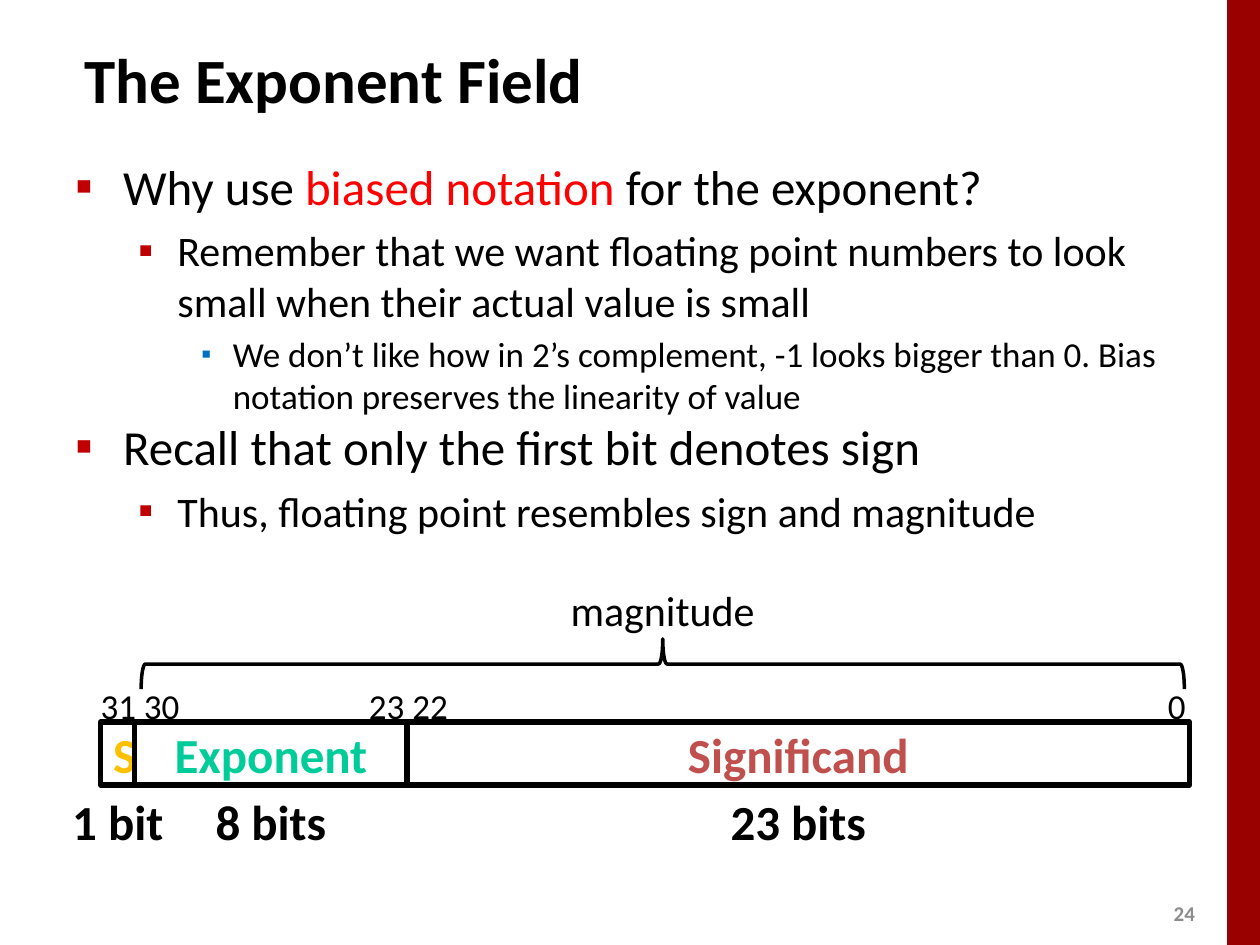
import pptx
import pptx.util
import pptx.dml.color
import pptx.enum.shapes
import pptx.enum.text
import pptx.oxml
import pptx.oxml.ns

Inches = pptx.util.Inches
Pt = pptx.util.Pt
ALIGN = pptx.enum.text.PP_ALIGN
ANCHOR = pptx.enum.text.MSO_ANCHOR
SHAPE = pptx.enum.shapes.MSO_SHAPE

THEME = {
    "font": "Calibri", "text": "000000", "accent": "FF0000", "band": "990000", "muted": "8C8C8C",
    "title": 36, "field": 28, "label": 24, "bit": 20, "number": 12,
}

TITLE = "The Exponent Field"
SLIDE_NUMBER = "24"

# Each bullet is (level, [(text, colour), ...])
BULLETS = [
    (0, [("Why use ", THEME["text"]), ("biased notation ", THEME["accent"]),
         ("for the exponent?", THEME["text"])]),
    (1, [("Remember that we want floating point numbers to look small when their "
          "actual value is small", THEME["text"])]),
    (2, [("We don’t like how in 2’s complement, -1 looks bigger than 0. Bias notation "
          "preserves the linearity of value", THEME["text"])]),
    (0, [("Recall that only the first bit denotes sign", THEME["text"])]),
    (1, [("Thus, floating point resembles sign and magnitude", THEME["text"])]),
]
LEVELS = [
    {"size": 28, "margin": 0.38, "hang": 0.38, "before": 0, "bullet": "C00000", "percent": 100},
    {"size": 24, "margin": 0.81, "hang": 0.31, "before": 5.6, "bullet": "C00000", "percent": 100},
    {"size": 20, "margin": 1.25, "hang": 0.25, "before": 4, "bullet": "0070C0", "percent": 80},
]

# Each field is (name, colour, width, bit count)
FIELDS = [
    ("S", "FFC000", 0.27, "1 bit"),
    ("Exponent", "00CC99", 2.16, "8 bits"),
    ("Significand", "C0504D", 6.21, "23 bits"),
]
FIELD_LEFT, FIELD_TOP, FIELD_HEIGHT = 0.8, 5.73, 0.5
BIT_NUMBERS = [("31 30", 0.7, 0.83), ("23 22", 2.83, 0.83), ("0", 9.17, 0.34)]
BRACE_CENTRE, BRACE_SPAN, BRACE_DEPTH = (5.26, 5.27), 8.28, 0.4


def rgb(value):
    return pptx.dml.color.RGBColor.from_string(value)


def format_font(font, size, colour=THEME["text"], bold=False):
    for name, value in {"name": THEME["font"], "size": Pt(size), "bold": bold}.items():
        setattr(font, name, value)
    font.color.rgb = rgb(colour)


def format_frame(frame, wrap=True, anchor=ANCHOR.TOP, inset_x=0.1, inset_y=0.05):
    values = {
        "word_wrap": wrap, "vertical_anchor": anchor,
        "auto_size": pptx.enum.text.MSO_AUTO_SIZE.NONE,
        "margin_left": Inches(inset_x), "margin_right": Inches(inset_x),
        "margin_top": Inches(inset_y), "margin_bottom": Inches(inset_y),
    }
    for name, value in values.items():
        setattr(frame, name, value)


def write(shape, text, size, colour=THEME["text"], bold=False, align=ALIGN.LEFT, **frame_values):
    format_frame(shape.text_frame, **frame_values)
    paragraph = shape.text_frame.paragraphs[0]
    paragraph.alignment = align
    run = paragraph.add_run()
    run.text = text
    format_font(run.font, size, colour, bold)


def add_text(slide, box, *args, **values):
    write(slide.shapes.add_textbox(*map(Inches, box)), *args, **values)


def add_outline(slide, kind, box, line_width):
    shape = slide.shapes.add_shape(kind, *map(Inches, box))
    shape.shadow.inherit = False
    shape.fill.background()
    shape.line.color.rgb = rgb(THEME["text"])
    shape.line.width = Pt(line_width)
    return shape


def add_bullet(paragraph, level):
    properties = paragraph._p.get_or_add_pPr()
    properties.set("marL", str(Inches(level["margin"])))
    properties.set("indent", str(-Inches(level["hang"])))
    namespace = pptx.oxml.ns.nsdecls("a")
    for xml in (
        f'<a:buClr {namespace}><a:srgbClr val="{level["bullet"]}"/></a:buClr>',
        f'<a:buSzPct {namespace} val="{level["percent"] * 1000}"/>',
        f'<a:buFont {namespace} typeface="{THEME["font"]}"/>',
        f'<a:buChar {namespace} char="▪"/>',
    ):
        properties.append(pptx.oxml.parse_xml(xml))


def add_body(slide):
    frame = slide.shapes.add_textbox(*map(Inches, (0.5, 1.19, 9, 5.4))).text_frame
    format_frame(frame)
    for index, (depth, runs) in enumerate(BULLETS):
        level = LEVELS[depth]
        paragraph = frame.add_paragraph() if index else frame.paragraphs[0]
        paragraph.level = depth
        add_bullet(paragraph, level)
        if level["before"]:
            paragraph.space_before = Pt(level["before"])
        for text, colour in runs:
            run = paragraph.add_run()
            run.text = text
            format_font(run.font, level["size"], colour)


def add_float_layout(slide):
    """Draw the three bit fields with their sizes, bit numbers and magnitude brace."""
    left = FIELD_LEFT
    for name, colour, width, bits in FIELDS:
        field = add_outline(slide, SHAPE.RECTANGLE, (left, FIELD_TOP, width, FIELD_HEIGHT), 3)
        write(field, name, THEME["field"], colour, True, ALIGN.CENTER, anchor=ANCHOR.MIDDLE)
        label_width = max(width, 0.97)
        label_left = left + (width - label_width) / 2
        add_text(slide, (label_left, FIELD_TOP + FIELD_HEIGHT, label_width, 0.57), bits,
                 THEME["field"], bold=True, align=ALIGN.CENTER, wrap=False)
        left += width
    for text, number_left, width in BIT_NUMBERS:
        add_text(slide, (number_left, 5.38, width, 0.44), text, THEME["bit"], wrap=False)

    x, y = BRACE_CENTRE
    brace = add_outline(slide, SHAPE.RIGHT_BRACE,
                        (x - BRACE_DEPTH / 2, y - BRACE_SPAN / 2, BRACE_DEPTH, BRACE_SPAN), 2)
    brace.rotation = 270
    brace.adjustments[0] = 0.083
    brace.adjustments[1] = 0.5
    add_text(slide, (4.43, 4.54, 1.77, 0.69), "magnitude", THEME["label"],
             wrap=False, inset_y=0.1)


def main():
    presentation = pptx.Presentation()
    presentation.slide_width, presentation.slide_height = Inches(10), Inches(7.5)
    slide = presentation.slides.add_slide(presentation.slide_layouts[5])

    band = slide.shapes.add_shape(SHAPE.RECTANGLE, *map(Inches, (9.74, 0, 0.26, 7.5)))
    band.shadow.inherit = False
    band.fill.solid()
    band.fill.fore_color.rgb = rgb(THEME["band"])
    band.line.fill.background()

    title = slide.shapes.title
    title.left, title.top, title.width, title.height = map(Inches, (0.57, 0, 9, 1.25))
    write(title, TITLE, THEME["title"], bold=True, anchor=ANCHOR.MIDDLE)

    add_body(slide)
    add_float_layout(slide)
    add_text(slide, (9.2, 7.1, 0.4, 0.3), SLIDE_NUMBER, THEME["number"], THEME["muted"], True,
             ALIGN.CENTER, anchor=ANCHOR.MIDDLE, inset_x=0, inset_y=0)
    presentation.save("out.pptx")


if __name__ == "__main__":
    main()
